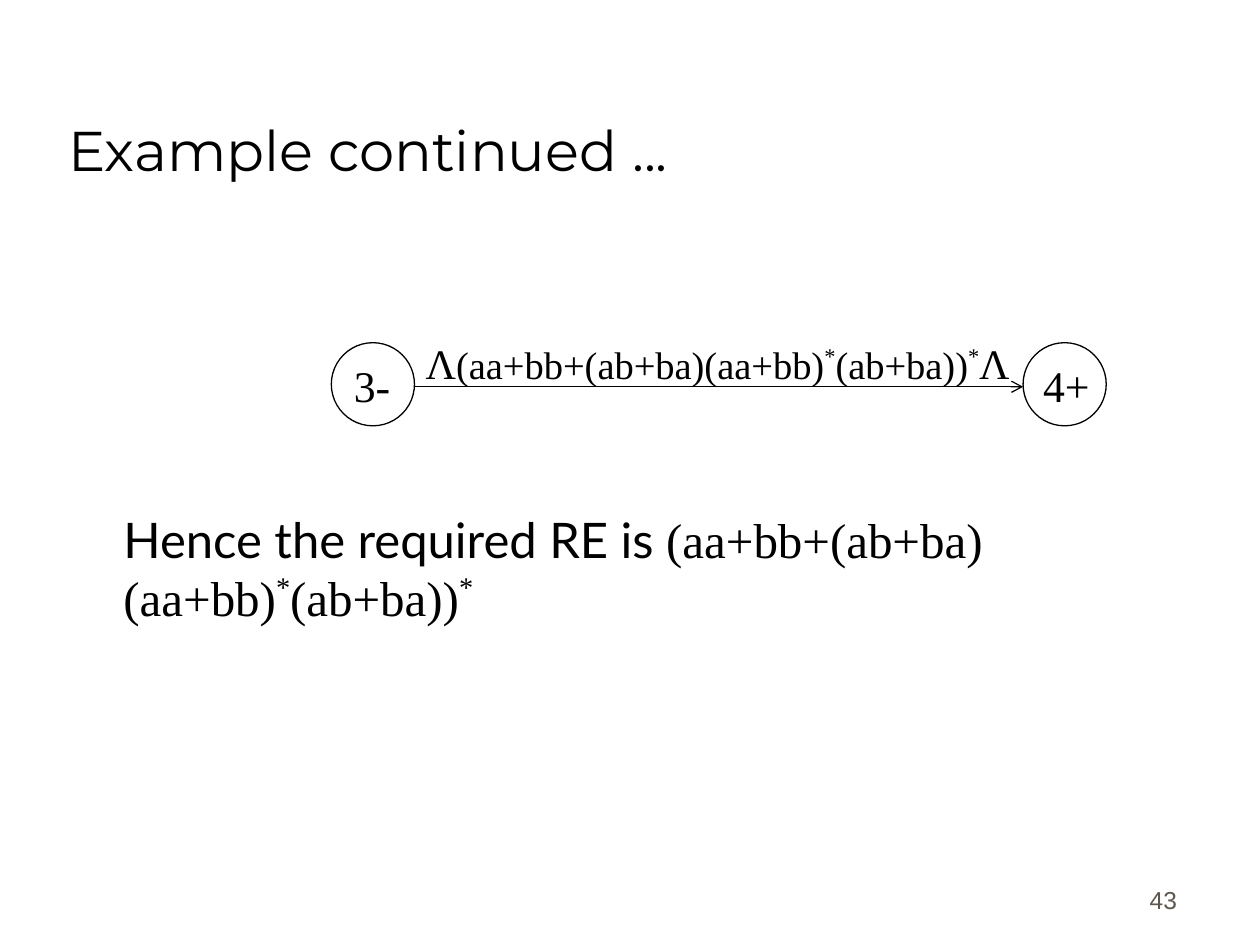
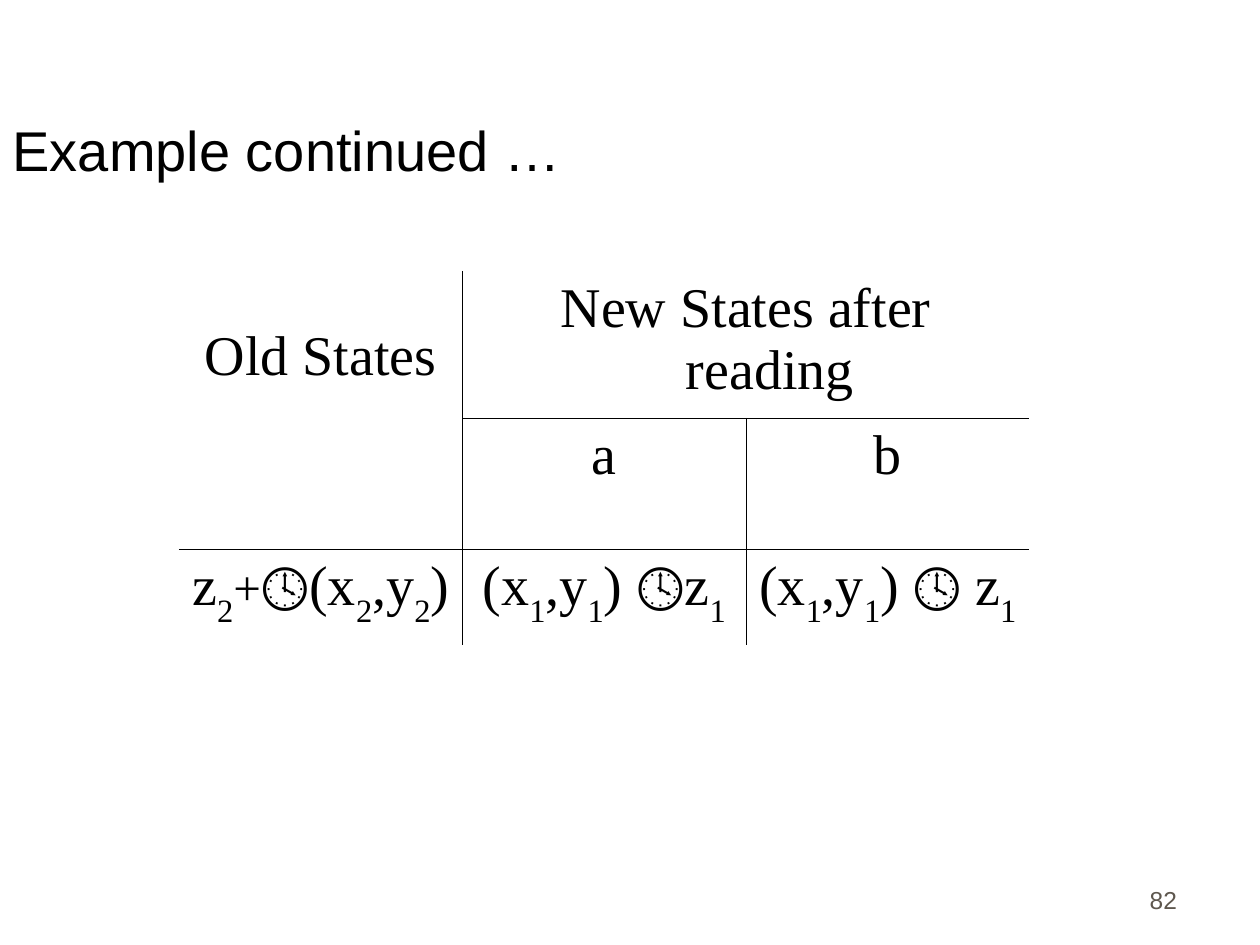
from lxml import etree
from pptx import Presentation
from pptx.dml.color import RGBColor
from pptx.enum.shapes import MSO_CONNECTOR, MSO_SHAPE
from pptx.enum.text import MSO_ANCHOR, MSO_AUTO_SIZE, PP_ALIGN
from pptx.oxml.ns import qn
from pptx.util import Inches, Pt

LEFT, CENTER, RIGHT = PP_ALIGN.LEFT, PP_ALIGN.CENTER, PP_ALIGN.RIGHT
TOP, BOTTOM = MSO_ANCHOR.TOP, MSO_ANCHOR.BOTTOM
FIXED, GROW = MSO_AUTO_SIZE.NONE, MSO_AUTO_SIZE.SHAPE_TO_FIT_TEXT
OVAL, STRAIGHT = MSO_SHAPE.OVAL, MSO_CONNECTOR.STRAIGHT
COLORS = {"ink": "000000", "paper": "FFFFFF", "page": "5E574E"}
SERIF, SANS, CLOCK = "Times New Roman", "Arial", "Cambria"
COLS, ROWS = 100, 75
UP, DOWN = 40, -30
LIST, GRID = 1, 5


class Deck:
    """Holds the shared style and the current slide, on a grid of 100 by 75 cells."""

    def __init__(self):
        self.prs = Presentation()
        self.prs.slide_width, self.prs.slide_height = Inches(10), Inches(7.5)
        self.slide = None

    def span(self, *cells):
        units = self.prs.slide_width / COLS, self.prs.slide_height / ROWS
        return [round(n * units[i % 2]) for i, n in enumerate(cells)]

    def color(self, name):
        return RGBColor.from_string(COLORS[name])

    def spell(self, par, runs, size, font=SERIF, ink="ink"):
        for text, *style in runs:
            base, own, face = (style + [None] * 3)[:3]
            run = par.add_run()
            run.text = text
            run.font.size = Pt(own or size)
            run.font.name = face or font
            run.font.color.rgb = self.color(ink)
            if base:
                run._r.get_or_add_rPr().set("baseline", str(base * 1000))

    def fill(self, shape, runs, size, font=SERIF, ink="ink", align=LEFT,
             anchor=TOP, wrap=True):
        frame = shape.text_frame
        frame.word_wrap = wrap
        frame.auto_size = FIXED if wrap else GROW
        frame.vertical_anchor = anchor
        par = frame.paragraphs[0]
        par.alignment, par.space_before = align, Pt(0)
        self.spell(par, runs, size, font, ink)
        return par

    def place(self, shape, *box):
        shape.left, shape.top, shape.width, shape.height = self.span(*box)

    def start(self, layout, title, left, font, page):
        self.slide = self.prs.slides.add_slide(self.prs.slide_layouts[layout])
        head = self.slide.shapes.title
        self.place(head, left, 2.5, 85, 12.5)
        self.fill(head, [(title,)], 32, font, anchor=BOTTOM)
        self.text((73.6, 68.1, 20.8, 5), [(page,)], 14, font=SANS, ink="page",
                  align=RIGHT, anchor=BOTTOM)

    def text(self, box, runs, size, **style):
        shape = self.slide.shapes.add_textbox(*self.span(*box))
        self.fill(shape, runs, size, **style)

    def body(self, box, runs, size):
        shape = self.slide.placeholders[1]
        self.place(shape, *box)
        props = self.fill(shape, runs, size)._p.get_or_add_pPr()
        props.set("marL", str(Inches(0.38)))
        props.set("indent", "0")
        etree.SubElement(props, qn("a:buNone"))

    def state(self, left, top, side):
        ring = self.slide.shapes.add_shape(OVAL, *self.span(left, top, side, side))
        ring.shadow.inherit = False
        ring.fill.solid()
        ring.fill.fore_color.rgb = self.color("paper")
        ring.line.color.rgb = self.color("ink")
        ring.line.width = Pt(0.75)

    def arrow(self, *ends):
        line = self.slide.shapes.add_connector(STRAIGHT, *self.span(*ends))
        line.line.color.rgb = self.color("ink")
        line.line.width = Pt(0.75)
        etree.SubElement(line.get_or_add_ln(), qn("a:tailEnd"), type="arrow")
        etree.SubElement(line._element.spPr, qn("a:effectLst"))

    def edge(self, cell, sides):
        props = cell._tc.get_or_add_tcPr()
        for at, side in enumerate("LRTB"):
            line = etree.Element(qn("a:ln" + side), w=str(Pt(0.45)))
            if side in sides:
                paint = etree.SubElement(line, qn("a:solidFill"))
                etree.SubElement(paint, qn("a:srgbClr"), val=COLORS["ink"])
            else:
                etree.SubElement(line, qn("a:noFill"))
            props.insert(at, line)

    def table(self, box, highs, cells, edges, merges, size):
        count = len(edges[0])
        table = self.slide.shapes.add_table(len(highs), count, *self.span(*box)).table
        table.first_row = table.horz_banding = False
        for row, high in zip(table.rows, highs):
            row.height = self.span(0, high)[1]
        for first, last in merges:
            table.cell(*first).merge(table.cell(*last))
        for r, line in enumerate(edges):
            for c, sides in enumerate(line):
                cell = table.cell(r, c)
                cell.fill.background()
                self.edge(cell, sides)
                if (r, c) in cells:
                    par = cell.text_frame.paragraphs[0]
                    par.alignment = CENTER
                    props = par._p.get_or_add_pPr()
                    props.set("marL", str(Inches(0.38)))
                    props.set("indent", str(-Inches(0.38)))
                    self.spell(par, cells[r, c], size)
        return table


def pair(sign):
    return [("(x",), (sign, DOWN), (",y",), (sign, DOWN)]


def main():
    deck = Deck()
    core = [("(aa+bb+(ab+ba)(aa+bb)",), ("*", UP), ("(ab+ba))",), ("*", UP)]
    null = ("Λ", 0, 24)
    deck.start(LIST, "Example continued ...", 4.4, "Montserrat", "43")
    deck.body((5, 39.9, 89.4, 26.3),
              [("Hence the required RE is ", 0, 28, "Lato")] + core, 28)
    for left, shift, wide, name in ((81.2, 0.6, 5.7, "4+"), (26.3, 0.8, 4.9, "3-")):
        deck.state(left, 27.2, 6.6)
        deck.text((left + shift, 28, wide, 5.2), [(name,)], 25, wrap=False)
    deck.text((32.8, 26.3, 53.7, 6.7), [null] + core + [null], 22)
    deck.arrow(32.9, 30.7, 81.2, 30.7)

    clock = ("🕓", 0, 32, CLOCK)
    deck.start(GRID, "Example continued …", 0, SANS, "82")
    cells = {
        (0, 0): [("Old States",)],
        (0, 1): [("New States after reading",)],
        (1, 1): [("a",)],
        (1, 2): [("b",)],
        (2, 0): [("z",), ("2", DOWN), ("+", 0, 28), clock] + pair("2") + [(")",)],
        (2, 1): pair("1") + [(") ",), clock, ("z",), ("1", DOWN)],
        (2, 2): pair("1") + [(") ",), clock, (" z",), ("1", DOWN)],
    }
    edges = [("RB", "LB", "B"), ("RB", "LRTB", "LTB"), ("RT", "LRT", "LT")]
    merges = [((0, 0), (1, 0)), ((0, 1), (0, 2))]
    table = deck.table((14.2, 21.5, 67.5, 29.7), (11.7, 10.4, 7.6),
                       cells, edges, merges, 32)
    table.cell(0, 0).margin_top = Inches(0.43)
    deck.prs.save("out.pptx")


if __name__ == "__main__":
    main()
